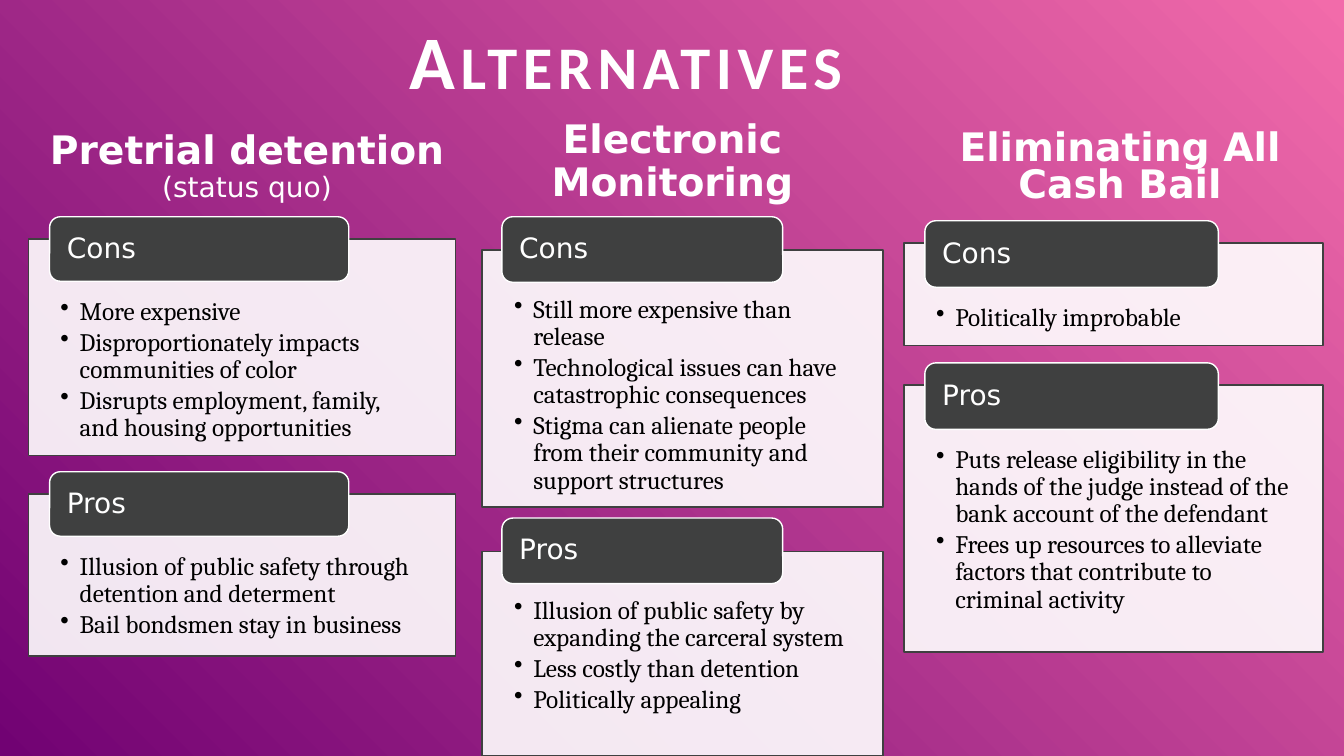
from dataclasses import dataclass

from lxml import etree
from pptx import Presentation
from pptx.dml.color import RGBColor
from pptx.enum.shapes import MSO_SHAPE as Preset
from pptx.enum.text import MSO_ANCHOR as Anchor, PP_ALIGN as Align
from pptx.oxml.ns import qn
from pptx.util import Inches, Pt

WHITE = RGBColor(0xFF, 0xFF, 0xFF)
BLACK = RGBColor(0, 0, 0)
CHARCOAL = RGBColor(0x3F, 0x40, 0x40)
PINK = RGBColor(0xF2, 0x6B, 0xAA)
PURPLE = RGBColor(0x71, 0x02, 0x73)
SLIDE_WIDTH, SLIDE_HEIGHT = Inches(13.33), Inches(7.5)
HEADING_FONT, BODY_FONT, TITLE_FONT = "DejaVu Sans", "Cambria", "Calibri"
HANG = Inches(0.19)


@dataclass
class Option:
    heading: tuple
    heading_box: tuple
    heading_spacing: float
    left: float
    width: float
    label_rise: float
    label_height: float
    text_drop: float
    cards: tuple


OPTIONS = (
    Option(("Pretrial detention", "(status quo)"), (2.48, 16.67, 31.8, 12), 0.9,
           2.1, 31.8, 2.93, 8.53, 7.87, (
               ("Cons", 31.6, 28.67, (
                   "More expensive",
                   "Disproportionately impacts communities of color",
                   "Disrupts employment, family, and housing opportunities")),
               ("Pros", 65.33, 21.47, (
                   "Illusion of public safety through detention and determent",
                   "Bail bondsmen stay in business")))),
    Option(("Electronic Monitoring",), (37.95, 15.2, 24.15, 14.93), 0.9,
           35.85, 29.85, 4.4, 8.67, 6.13, (
               ("Cons", 33.07, 34, (
                   "Still more expensive than release",
                   "Technological issues can have catastrophic consequences",
                   "Stigma can alienate people from their community and support structures")),
               ("Pros", 72.93, 27.07, (
                   "Illusion of public safety by expanding the carceral system",
                   "Less costly than detention",
                   "Politically appealing")))),
    Option(("Eliminating All Cash Bail",), (68.18, 16.67, 30.3, 12), 0.8,
           67.25, 31.2, 2.93, 8.8, 8.13, (
               ("Cons", 32.13, 13.6, ("Politically improbable",)),
               ("Pros", 50.93, 35.33, (
                   "Puts release eligibility in the hands of the judge instead of the bank account of the defendant",
                   "Frees up resources to alleviate factors that contribute to criminal activity")))),
)


def across(percent):
    return round(SLIDE_WIDTH * percent / 100)


def down(percent):
    return round(SLIDE_HEIGHT * percent / 100)


def place(left, top, width, height):
    return across(left), down(top), across(width), down(height)


def add_run(paragraph, words, size, font, color, bold=False):
    run = paragraph.add_run()
    run.text = words
    run.font.size = Pt(size)
    run.font.name = font
    run.font.color.rgb = color
    run.font.bold = bold
    return run


def set_frame(frame, anchor, left, top, right, bottom):
    frame.word_wrap = True
    frame.vertical_anchor = anchor
    frame.margin_left, frame.margin_top = left, top
    frame.margin_right, frame.margin_bottom = right, bottom


def add_centred_line(slide, box, anchor, spacing):
    frame = slide.shapes.add_textbox(*place(*box)).text_frame
    side, edge = Inches(0.1), Inches(0.05)
    set_frame(frame, anchor, side, edge, side, edge)
    line = frame.paragraphs[0]
    line.alignment = Align.CENTER
    line.line_spacing = spacing
    return line


def add_title(slide):
    line = add_centred_line(slide, (0, 2.4, 100, 12), Anchor.BOTTOM, 0.8)
    title = add_run(line, "Alternatives ", 54, TITLE_FONT, WHITE, True)
    lettering = title.font._element
    lettering.set("cap", "small")
    lettering.set("spc", "400")


def add_heading(slide, option):
    line = add_centred_line(slide, option.heading_box, Anchor.TOP, option.heading_spacing)
    name, *remarks = option.heading
    add_run(line, name, 28, HEADING_FONT, WHITE, True)
    for remark in remarks:
        line.add_line_break()
        add_run(line, remark, 20, HEADING_FONT, WHITE)


def add_panel(slide, preset, box, fill, outline):
    panel = slide.shapes.add_shape(preset, *place(*box))
    panel.shadow.inherit = False
    panel.fill.solid()
    panel.fill.fore_color.rgb = fill
    panel.line.color.rgb = outline
    panel.line.width = Pt(1)
    return panel


def make_translucent(panel, percent):
    color = panel._element.spPr.find(qn("a:solidFill"))[0]
    etree.SubElement(color, qn("a:alpha")).set("val", str(percent * 1000))


def add_bullet(paragraph, words):
    properties = paragraph._p.get_or_add_pPr()
    properties.set("marL", str(HANG))
    properties.set("indent", str(-HANG))
    paragraph.alignment = Align.LEFT
    paragraph.line_spacing = 0.9
    paragraph.space_after = Pt(2.7)
    etree.SubElement(properties, qn("a:buChar")).set("char", "•")
    add_run(paragraph, words, 18, BODY_FONT, BLACK)


def add_card(slide, option, label, top, height, points):
    body = add_panel(slide, Preset.RECTANGLE,
                     (option.left, top, option.width, height), WHITE, CHARCOAL)
    make_translucent(body, 90)
    frame = body.text_frame
    set_frame(frame, Anchor.TOP, across(2.4), down(option.text_drop), across(2.4), down(1.87))
    for index, point in enumerate(points):
        add_bullet(frame.add_paragraph() if index else frame.paragraphs[0], point)

    tab = add_panel(slide, Preset.ROUNDED_RECTANGLE,
                    (option.left + option.width * 0.05, top - option.label_rise,
                     option.width * 0.7, option.label_height), CHARCOAL, WHITE)
    set_frame(tab.text_frame, Anchor.MIDDLE, across(1.05), 0, across(1.05), 0)
    line = tab.text_frame.paragraphs[0]
    line.alignment = Align.LEFT
    line.line_spacing = 0.9
    add_run(line, label, 20, HEADING_FONT, WHITE)


def paint_background(slide):
    fill = slide.background.fill
    fill.gradient()
    fill.gradient_angle = 225
    for stop, color, position in zip(fill.gradient_stops, (PINK, PURPLE), (0, 1)):
        stop.color.rgb = color
        stop.position = position


def main():
    deck = Presentation()
    deck.slide_width, deck.slide_height = SLIDE_WIDTH, SLIDE_HEIGHT
    slide = deck.slides.add_slide(deck.slide_layouts[6])
    paint_background(slide)
    add_title(slide)
    for option in OPTIONS:
        add_heading(slide, option)
        for card in option.cards:
            add_card(slide, option, *card)
    deck.save("out.pptx")


if __name__ == "__main__":
    main()
